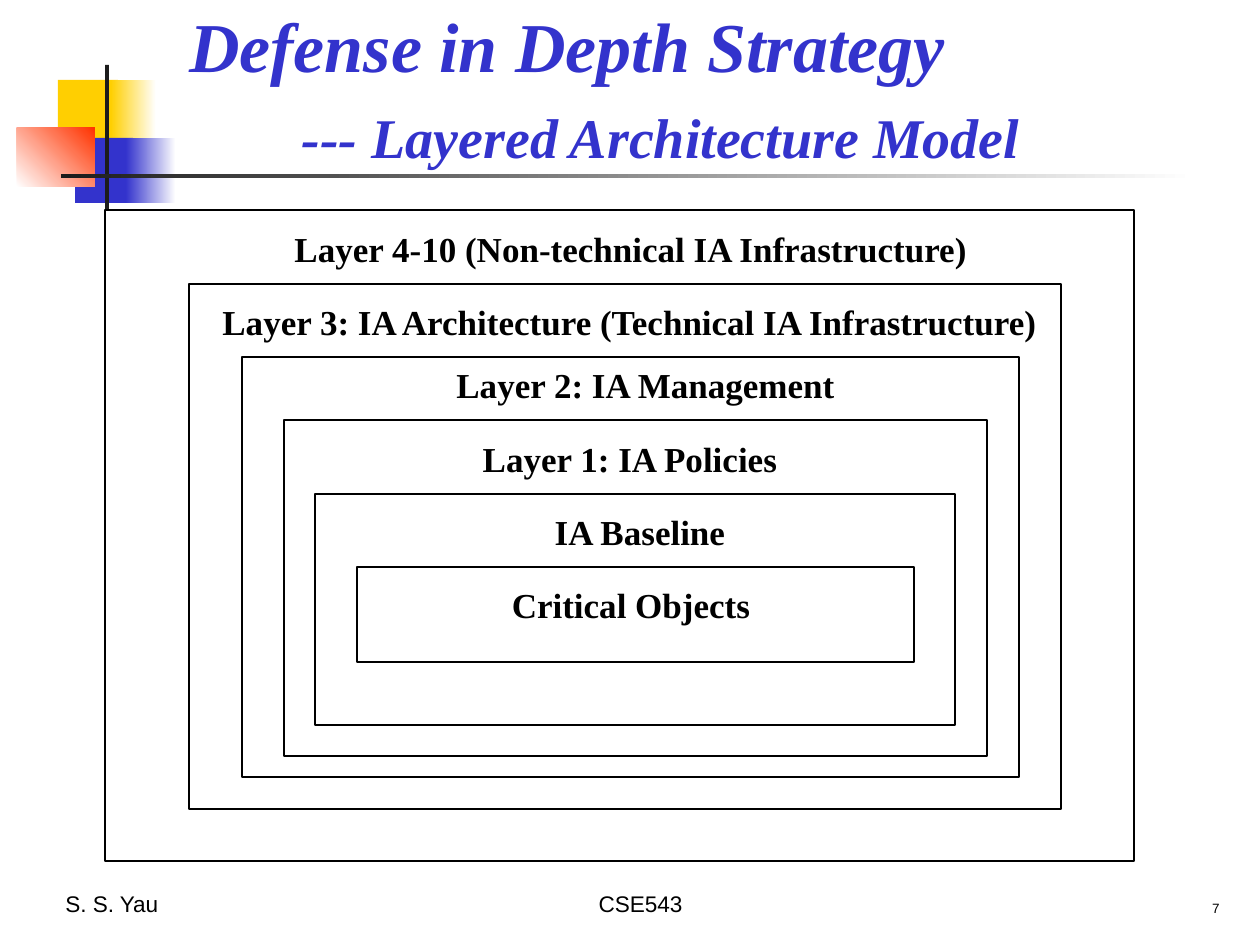
from pptx import Presentation
from pptx.dml.color import RGBColor
from pptx.enum.shapes import MSO_SHAPE as Form
from pptx.enum.text import MSO_ANCHOR as Anchor, MSO_AUTO_SIZE as Fit, PP_ALIGN as Align
from pptx.util import Inches, Pt

SCALE = Inches(1) // 126
SERIF, SANS = "Times New Roman", "Arial"
BLACK, WHITE, DARK = "000000", "FFFFFF", "1C1C1C"
GOLD, BLUE, RED = "FFCF01", "3333CC", "FF3300"


def px(*sizes):
    return [size * SCALE for size in sizes]


def tint(code):
    return RGBColor.from_string(code)


class Deck:
    """Holds the style and the current slide."""

    def __init__(self):
        self.prs = Presentation()
        self.prs.slide_width, self.prs.slide_height = px(1260, 945)
        self.slide = self.prs.slides.add_slide(self.prs.slide_layouts[5])

    def style(self, para, size, font, color=BLACK, bold=False, italic=False):
        for run in para.runs:
            face = run.font
            face.size, face.name = Pt(size), font
            face.bold, face.italic = bold, italic
            face.color.rgb = tint(color)

    def title(self, area, lines, sizes, indent, gap):
        """Write a centred two-line title with the second line indented."""
        shape = self.slide.shapes.title
        shape.left, shape.top, shape.width, shape.height = px(*area)
        frame = shape.text_frame
        frame.text = "\n".join(lines)
        frame.word_wrap, frame.auto_size = True, Fit.NONE
        frame.vertical_anchor = Anchor.BOTTOM
        for para, size in zip(frame.paragraphs, sizes):
            para.alignment = Align.CENTER
            self.style(para, size, SERIF, BLUE, True, True)
        first, last = frame.paragraphs
        first.space_after = Pt(gap)
        last._p.get_or_add_pPr().set("marL", str(indent * SCALE))

    def rect(self, area):
        shape = self.slide.shapes.add_shape(Form.RECTANGLE, *px(*area))
        shape.shadow.inherit = False
        return shape

    def block(self, area, color):
        shape = self.rect(area)
        shape.fill.solid()
        shape.fill.fore_color.rgb = tint(color)
        shape.line.fill.background()

    def fade(self, area, start, end, angle=0):
        shape = self.rect(area)
        fill = shape.fill
        fill.gradient()
        fill.gradient_angle = angle
        for stop, color in zip(fill.gradient_stops, (start, end)):
            stop.color.rgb = tint(color)
        shape.line.fill.background()

    def frame(self, area):
        shape = self.rect(area)
        shape.fill.background()
        shape.line.color.rgb = tint(BLACK)
        shape.line.width = Pt(0.75)

    def text(self, area, words, align, size, font, bold=False, anchor=Anchor.TOP,
             pitch=1.0, wrap=True):
        frame = self.slide.shapes.add_textbox(*px(*area)).text_frame
        frame.text = words
        frame.word_wrap, frame.vertical_anchor = wrap, anchor
        para = frame.paragraphs[0]
        para.alignment, para.line_spacing = align, pitch
        self.style(para, size, font, bold=bold)


def main():
    deck = Deck()

    deck.block((58, 80, 60, 65), GOLD)
    deck.fade((111, 80, 45, 65), GOLD, WHITE)
    deck.block((75, 138, 58, 65), BLUE)
    deck.fade((126, 138, 50, 65), BLUE, WHITE)
    deck.fade((17, 128, 78, 59), WHITE, RED, 45)
    deck.block((105, 65, 4, 145), DARK)
    deck.fade((61, 174, 1134, 4), DARK, WHITE)

    deck.title((-34, 40, 1202, 136),
               ("Defense in Depth Strategy", "--- Layered Architecture Model"),
               (40, 32), indent=188, gap=9)

    # Outline, caption left, top and width, wording, alignment
    layers = [
        ((105, 210, 1029, 651), (282, 221, 701),
         "Layer 4-10 (Non-technical IA Infrastructure)", Align.LEFT),
        ((189, 284, 872, 525), (210, 294, 881),
         "Layer 3: IA Architecture (Technical IA Infrastructure)", Align.LEFT),
        ((242, 357, 777, 420), (420, 357, 451), "Layer 2: IA Management", Align.CENTER),
        ((284, 420, 703, 336), (441, 431, 378), "Layer 1: IA Policies", Align.CENTER),
        ((315, 494, 640, 231), (514, 504, 252), "IA Baseline", Align.CENTER),
        ((357, 567, 557, 95), (357, 577, 557), "Critical Objects ", Align.CENTER),
    ]
    for area, spot, words, align in layers:
        deck.frame(area)
        deck.text((*spot, 55), words, align, 20, SERIF, bold=True,
                  wrap=words != layers[0][2])

    for area, words, align, size, pitch in (
        ((53, 882, 262, 42), "S. S. Yau", Align.LEFT, 12.9, 0.9),
        ((441, 882, 399, 42), "CSE543", Align.CENTER, 12.9, 0.9),
        ((970, 892, 262, 30), "7", Align.RIGHT, 7.7, 0.8),
    ):
        deck.text(area, words, align, size, SANS, anchor=Anchor.BOTTOM, pitch=pitch)

    deck.prs.save("out.pptx")


if __name__ == "__main__":
    main()
